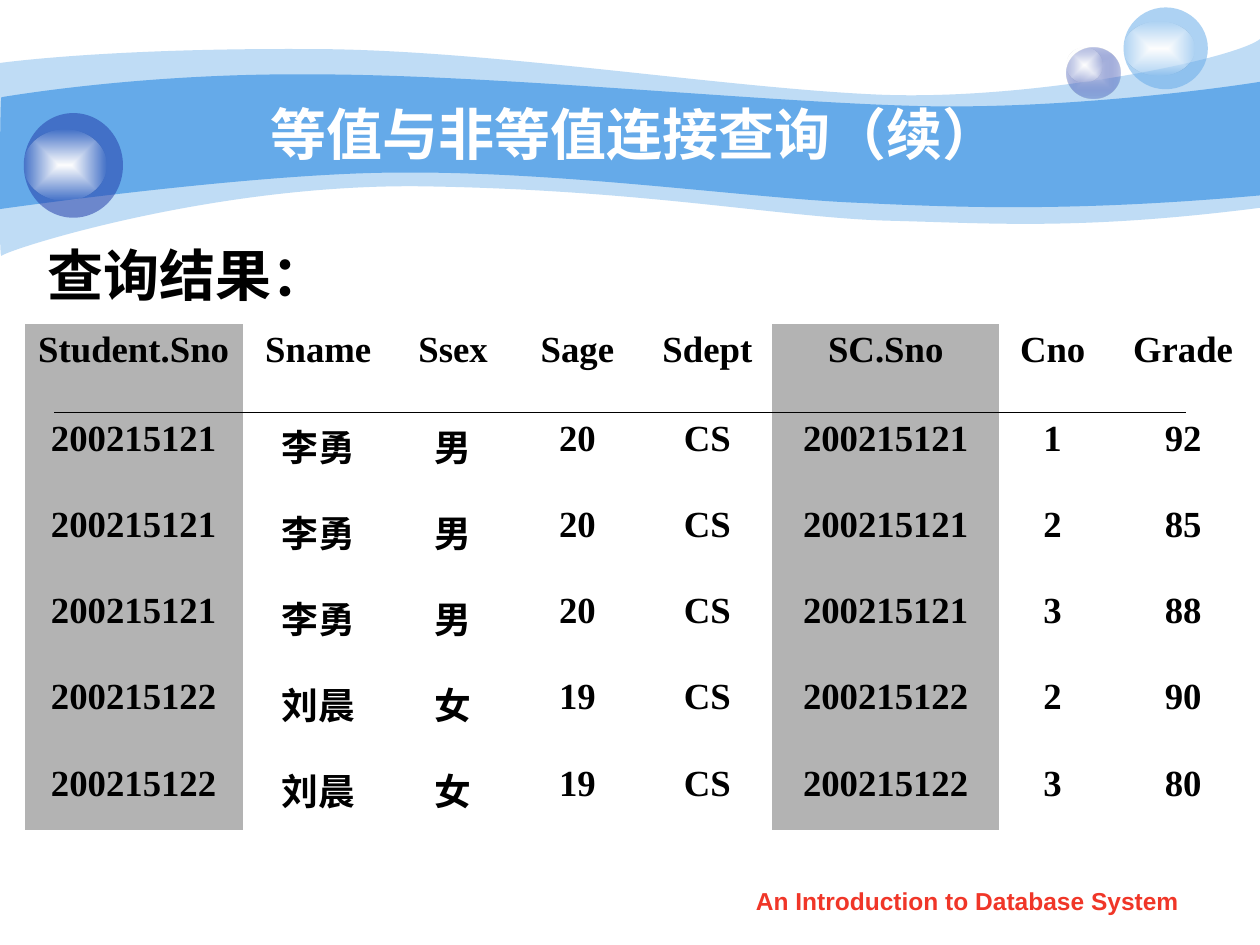
from lxml.etree import SubElement
from pptx import Presentation
from pptx.dml.color import RGBColor
from pptx.enum.shapes import MSO_CONNECTOR, MSO_SHAPE
from pptx.enum.text import MSO_ANCHOR, PP_ALIGN
from pptx.oxml import parse_xml
from pptx.oxml.ns import nsdecls, qn
from pptx.util import Cm, Pt

WHITE = RGBColor(0xFF, 0xFF, 0xFF)
BLACK = RGBColor(0x00, 0x00, 0x00)
SKY = RGBColor(0x65, 0xAA, 0xE9)
NAVY = RGBColor(0x23, 0x3D, 0xA9)
LAVENDER = RGBColor(0xC7, 0xCE, 0xE9)
GRAY = RGBColor(0xB3, 0xB3, 0xB3)
RED = RGBColor(0xF0, 0x36, 0x28)

NO_STYLE = "{2D5ABB26-0587-4C30-8999-92F81FD0307C}"

# Each wave is a start point, then lines (x, y) and Bezier curves (six numbers), in cm
PALE_WAVE = [
    (0, 1.27),
    (0.61, 1.19, 2.72, 0.97, 6.27, 0.99),
    (9.8, 0.99, 14.61, 1.78, 17.75, 1.91),
    (20.88, 2.03, 24.89, 1.19, 25.4, 0.79),
    (25.4, 4.19),
    (21.79, 4.65, 19.99, 4.5, 17.91, 4.45),
    (15.8, 4.39, 13.08, 3.84, 8.71, 3.76),
    (4.37, 3.66, 0.1, 5.05, 0.03, 5.16),
    (-0.03, 5.28, 0, 1.91, 0, 1.27),
]
BLUE_WAVE = [
    (0.03, 1.96),
    (0.05, 1.96, 2.79, 1.47, 6.3, 1.5),
    (9.8, 1.5, 15.11, 2.03, 18.24, 2.13),
    (21.36, 2.24, 24.79, 1.75, 25.4, 1.65),
    (25.4, 3.94),
    (21.67, 4.27, 19.43, 4.19, 17.32, 4.09),
    (15.21, 4.01, 11.35, 3.45, 8.05, 3.48),
    (5.16, 3.48, -0.05, 4.22, -0.03, 4.22),
    (0, 4.22, 0, 1.96, 0.03, 1.96),
]

HEADER = ["Student.Sno", "Sname", "Ssex", "Sage", "Sdept", "SC.Sno", "Cno", "Grade"]
LI_YONG = ("200215121", "李勇", "男", "20", "CS")
LIU_CHEN = ("200215122", "刘晨", "女", "19", "CS")
GRADES = [(LI_YONG, "1", "92"), (LI_YONG, "2", "85"), (LI_YONG, "3", "88"),
          (LIU_CHEN, "2", "90"), (LIU_CHEN, "3", "80")]
ROWS = [HEADER] + [[*student, student[0], cno, grade] for student, cno, grade in GRADES]
COL_WIDTHS = [4.39, 3.05, 2.39, 2.62, 2.62, 4.57, 2.16, 3.1]
ROW_HEIGHTS = [1.79, 1.73, 1.74, 1.73, 1.74, 1.48]
KEY_COLUMNS = (HEADER.index("Student.Sno"), HEADER.index("SC.Sno"))


class SlideBuilder:
    sans = "Arial"
    serif = "Times New Roman"
    hanging = Cm(0.95)

    def __init__(self, prs):
        self.s = prs.slides.add_slide(prs.slide_layouts[5])
        self.shapes = self.s.shapes

    def solid(self, sp, color, alpha=100):
        sp.shadow.inherit = False
        sp.line.fill.background()
        sp.fill.solid()
        sp.fill.fore_color.rgb = color
        if alpha < 100:
            clr = sp.fill._xPr.find(".//" + qn("a:srgbClr"))
            SubElement(clr, qn("a:alpha"), val=str(alpha * 1000))

    def wave(self, path, color, alpha=100):
        """Draw the path's points as lines, then join each three of a curve into a Bezier."""
        points = [(Cm(x), Cm(y)) for step in path for x, y in zip(step[::2], step[1::2])]
        builder = self.shapes.build_freeform(*points[0])
        builder.add_line_segments(points[1:], close=True)
        sp = builder.convert_to_shape()
        lines = iter(sp._element.findall(".//" + qn("a:lnTo")))
        for step in path[1:]:
            first = next(lines)
            if len(step) == 6:
                curve = parse_xml(f'<a:cubicBezTo {nsdecls("a")}/>')
                first.addprevious(curve)
                for line in (first, next(lines), next(lines)):
                    curve.append(line[0])
                    line.getparent().remove(line)
        self.solid(sp, color, alpha)

    def ball(self, x, y, w, h, color, alpha=100):
        sp = self.shapes.add_shape(MSO_SHAPE.OVAL, Cm(x), Cm(y), Cm(w), Cm(h))
        self.solid(sp, color, alpha)
        return sp

    def glow_ball(self, x, y, w, h, inner, outer, alpha):
        """Add a ball that fades from its centre to a translucent rim."""
        sp = self.ball(x, y, w, h, inner)
        solid_fill = sp._element.spPr.find(qn("a:solidFill"))
        solid_fill.getparent().replace(solid_fill, parse_xml(
            f'<a:gradFill {nsdecls("a")} rotWithShape="1"><a:gsLst>'
            f'<a:gs pos="0"><a:srgbClr val="{inner}"/></a:gs>'
            f'<a:gs pos="100000"><a:srgbClr val="{outer}">'
            f'<a:alpha val="{alpha * 1000}"/></a:srgbClr></a:gs></a:gsLst>'
            '<a:path path="rect"><a:fillToRect l="50000" t="50000" r="50000" b="50000"/>'
            '</a:path></a:gradFill>'))

    def style(self, tf, font, size, color):
        p = tf.paragraphs[0]
        p.alignment = PP_ALIGN.CENTER
        if font == self.serif:
            pPr = p._p.get_or_add_pPr()
            pPr.set("marL", str(self.hanging))
            pPr.set("indent", str(-self.hanging))
        for r in p.runs:
            r.font.name = font
            r.font.size = Pt(size)
            r.font.bold = True
            r.font.color.rgb = color

    def title(self, text, x, y, w, h):
        sp = self.shapes.title
        sp.left, sp.top, sp.width, sp.height = Cm(x), Cm(y), Cm(w), Cm(h)
        tf = sp.text_frame
        tf.text = text
        tf.vertical_anchor = MSO_ANCHOR.MIDDLE
        self.style(tf, self.sans, 32, WHITE)
        self.shapes._spTree.append(sp._element)  # in front of the waves

    def text(self, text, x, y, w, h, font, size, color, wrap=True):
        tf = self.shapes.add_textbox(Cm(x), Cm(y), Cm(w), Cm(h)).text_frame
        tf.word_wrap = wrap
        tf.text = text
        self.style(tf, font, size, color)

    def table(self, rows, x, y, col_widths, row_heights, shaded):
        frame = self.shapes.add_table(len(rows), len(col_widths), Cm(x), Cm(y),
                                      Cm(sum(col_widths)), Cm(sum(row_heights)))
        table = frame.table
        table.first_row = table.horz_banding = False
        table._tbl.tblPr.find(qn("a:tableStyleId")).text = NO_STYLE
        for col, width in zip(table.columns, col_widths):
            col.width = Cm(width)
        for row, height, values in zip(table.rows, row_heights, rows):
            row.height = Cm(height)
            for i, (cell, value) in enumerate(zip(row.cells, values)):
                cell.text_frame.text = value
                self.style(cell.text_frame, self.serif, 21, BLACK)
                if i in shaded:
                    cell.fill.solid()
                    cell.fill.fore_color.rgb = GRAY
                else:
                    cell.fill.background()

    def rule(self, x1, x2, y):
        line = self.shapes.add_connector(MSO_CONNECTOR.STRAIGHT, Cm(x1), Cm(y), Cm(x2), Cm(y))
        line.line.color.rgb = BLACK
        line.line.width = Pt(0.75)
        SubElement(line._element.spPr, qn("a:effectLst"))


def main():
    prs = Presentation()
    prs.slide_width, prs.slide_height = Cm(25.4), Cm(19.05)
    b = SlideBuilder(prs)

    b.wave(PALE_WAVE, SKY, 41)
    b.wave(BLUE_WAVE, SKY)
    b.glow_ball(21.51, 0.97, 1.07, 1.02, LAVENDER, NAVY, 31)
    b.glow_ball(21.51, 0.97, 0.71, 0.69, WHITE, WHITE, 0)
    b.ball(22.65, 0.15, 1.7, 1.65, SKY, 53)
    b.glow_ball(22.65, 0.43, 1.42, 1.09, WHITE, WHITE, 0)
    b.ball(0.48, 2.28, 2, 2.11, NAVY, 53)
    b.glow_ball(0.48, 2.62, 1.67, 1.42, WHITE, WHITE, 0)

    b.text("An Introduction to Database System", 14.5, 17.73, 10.01, 0.89, b.sans, 14, RED)
    b.title("等值与非等值连接查询（续）", 2.54, 1.89, 20.52, 1.57)
    b.table(ROWS, 0.5, 6.53, COL_WIDTHS, ROW_HEIGHTS, KEY_COLUMNS)
    b.text("查询结果：", -0.25, 4.72, 8.05, 1.63, b.serif, 32, BLACK, wrap=False)
    b.rule(1.09, 23.9, 8.32)

    prs.save("out.pptx")


if __name__ == "__main__":
    main()
